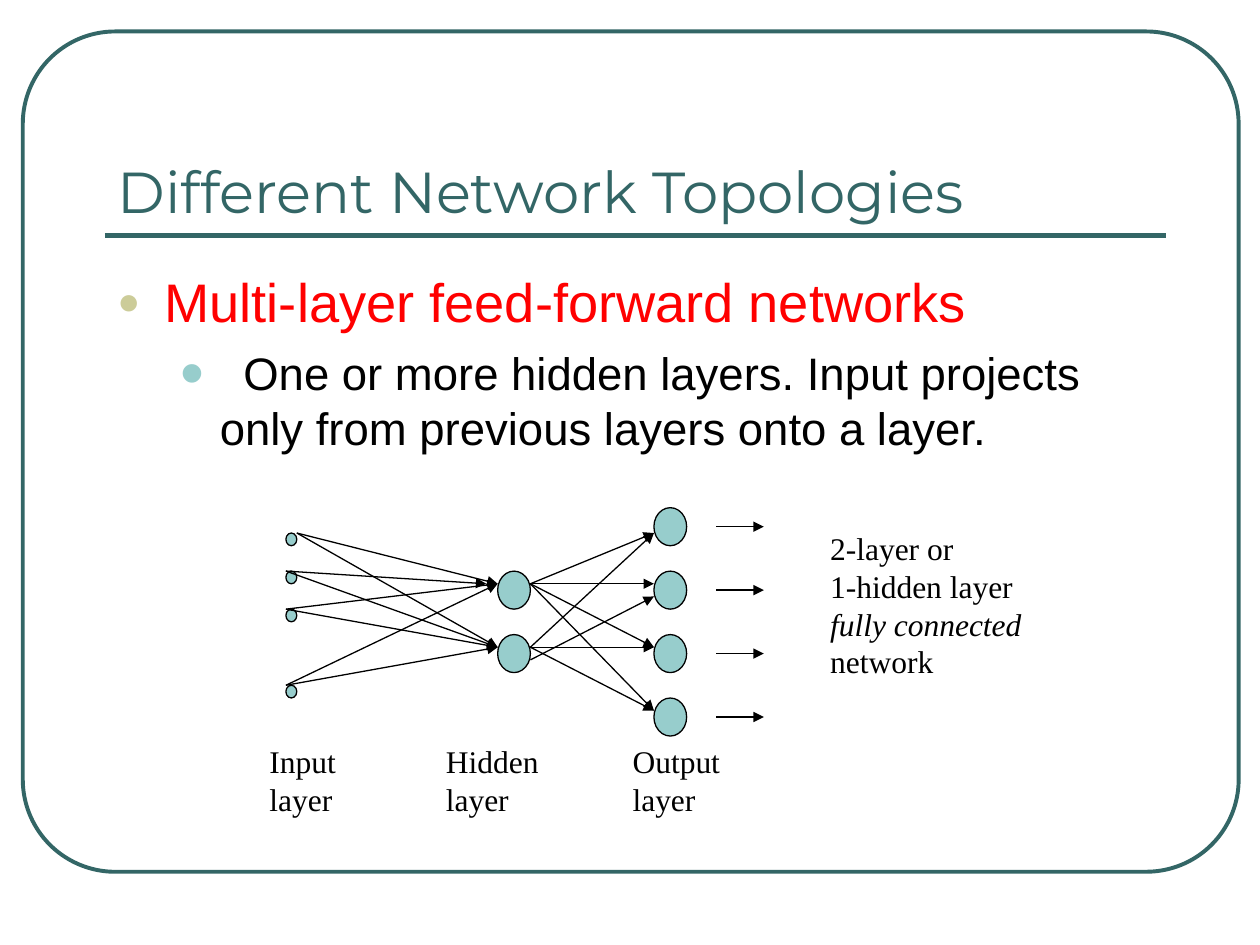
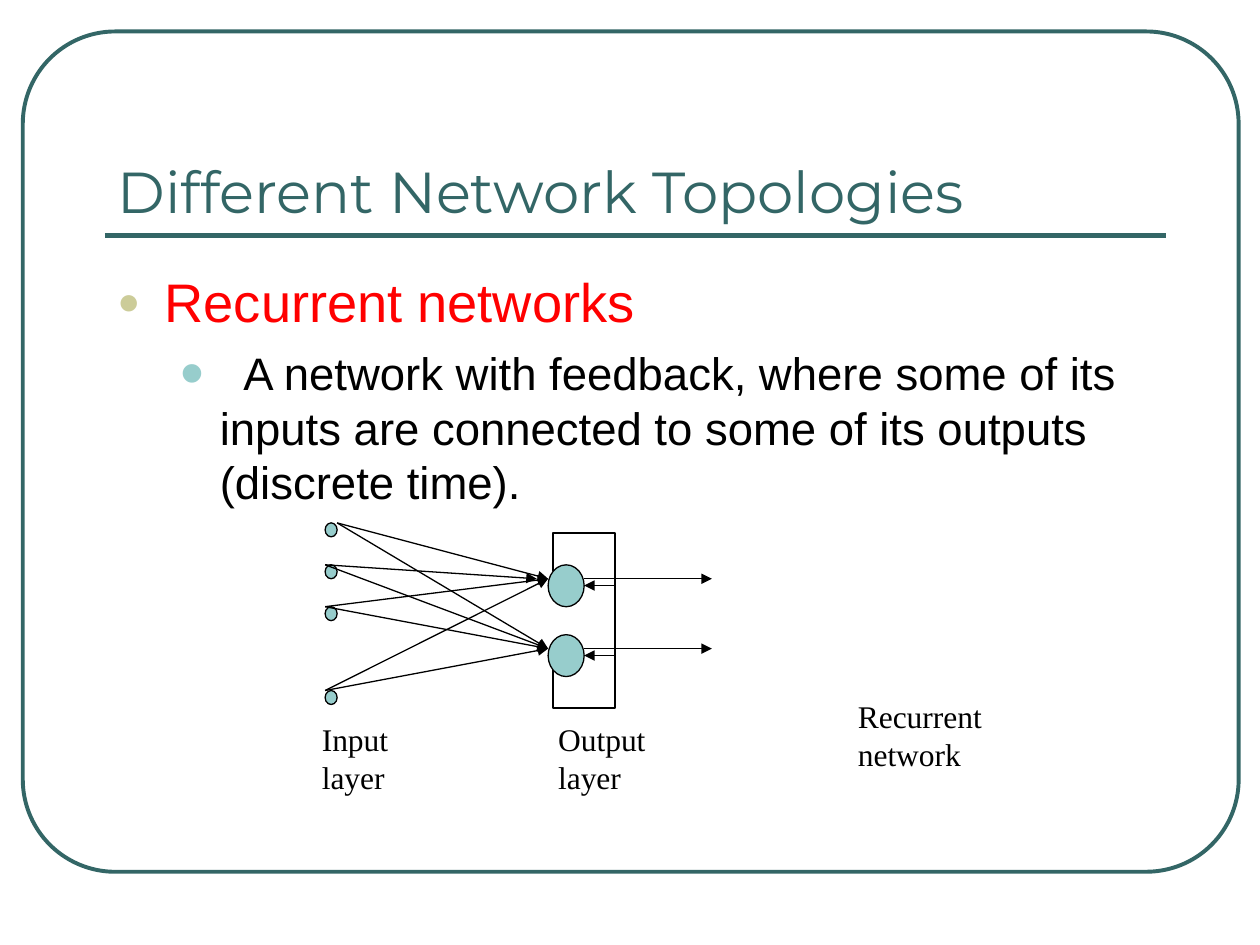
from lxml import etree
from pptx import Presentation
from pptx import util as u
from pptx.dml.color import RGBColor
from pptx.enum import shapes, text
from pptx.oxml.ns import qn

Pt = u.Pt
COLORS = {"teal": "336666", "aqua": "97CDCC", "sand": "CCCC99",
          "red": "FF0000", "black": "000000", "white": "FFFFFF"}
RGB = {name: RGBColor.from_string(value) for name, value in COLORS.items()}
TITLE = {"name": "Montserrat", "size": Pt(33)}
LABEL = {"name": "Times New Roman", "size": Pt(18)}
BODY = [
    {"font": {"name": "Arial", "size": Pt(31)}, "color": "red", "before": 0,
     "margin": 27, "indent": -27, "bullet": "●", "bullet_color": "sand", "bullet_size": 70},
    {"font": {"name": "Arial", "size": Pt(26)}, "color": "black", "before": 6.5,
     "margin": 58.5, "indent": -22.5, "bullet": "•", "bullet_color": "aqua", "bullet_size": 150},
]
SLIDES = [
    {"points": ["Multi-layer feed-forward networks",
                "\tOne or more hidden layers. Input projects only from previous layers onto a layer."],
     "input_x": 163.4, "top": 304.6, "pitch": 21.75, "neuron_x": 284.4,
     "labels": (146.9, 420.5, 300, ["Input\tHidden\tOutput", "layer\tlayer\tlayer"], [100.8, 207.5]),
     "caption": (467.3, 298.8, 140, ["2-layer or", "1-hidden layer", "fully connected", "network"], [])},
    {"points": ["Recurrent networks",
                "\tA network with feedback, where some of its inputs are connected to some of its outputs (discrete time)."],
     "input_x": 185.8, "top": 298.8, "pitch": 23.95, "neuron_x": 313.2,
     "labels": (176.8, 408.2, 240, ["Input\tOutput", "layer\tlayer"], [135]),
     "caption": (483.1, 394.6, 110, ["Recurrent", "network"], [])},
]


def outline(sp, color="black", width=0.75, arrow=False):
    sp.line.color.rgb = RGB[color]
    sp.line.width = Pt(width)
    spPr = sp.element.spPr
    if arrow:
        etree.SubElement(spPr.find(qn("a:ln")), qn("a:tailEnd"), type="triangle")
    if spPr.find(qn("a:effectLst")) is None:
        etree.SubElement(spPr, qn("a:effectLst"))


def write(p, words, font, color, tabs=()):
    pPr = p._p.get_or_add_pPr()
    if tabs:
        tabLst = etree.SubElement(pPr, qn("a:tabLst"))
        for pos in tabs:
            etree.SubElement(tabLst, qn("a:tab"), pos=str(Pt(pos)), algn="l")
    r = p.add_run()
    r.text = words
    for key, value in font.items():
        setattr(r.font, key, value)
    r.font.color.rgb = RGB[color]
    return r


prs = Presentation()
prs.slide_width, prs.slide_height = Pt(720), Pt(540)

for number, data in enumerate(SLIDES):
    s = prs.slides.add_slide(prs.slide_layouts[5])
    frame = s.shapes.add_shape(shapes.MSO_SHAPE.ROUNDED_RECTANGLE, Pt(13), Pt(18), Pt(694.8), Pt(480.2))
    frame.adjustments[0] = 0.11
    frame.fill.background()
    outline(frame, "teal", 2.25)
    rule = s.shapes.add_connector(shapes.MSO_CONNECTOR.STRAIGHT, Pt(60), Pt(134.6), Pt(666), Pt(134.6))
    outline(rule, "teal", 3)

    title = s.shapes.title
    title.left, title.top, title.width, title.height = Pt(60), Pt(42), Pt(606), Pt(90)
    tf = title.text_frame
    tf.vertical_anchor = text.MSO_ANCHOR.BOTTOM
    tf.auto_size = text.MSO_AUTO_SIZE.NONE
    p = tf.paragraphs[0]
    p.alignment = text.PP_ALIGN.LEFT
    write(p, "Different Network Topologies", TITLE, "teal")

    body = s.shapes.add_textbox(Pt(60), Pt(150), Pt(606), Pt(318))
    body.fill.solid()
    body.fill.fore_color.rgb = RGB["white"]
    tf = body.text_frame
    tf.word_wrap = True
    for level, (words, style) in enumerate(zip(data["points"], BODY)):
        p = tf.add_paragraph() if level else tf.paragraphs[0]
        p.level = level
        p.space_before = Pt(style["before"])
        pPr = p._p.get_or_add_pPr()
        pPr.set("marL", str(Pt(style["margin"])))
        pPr.set("indent", str(Pt(style["indent"])))
        buClr = etree.SubElement(pPr, qn("a:buClr"))
        etree.SubElement(buClr, qn("a:srgbClr"), val=COLORS[style["bullet_color"]])
        etree.SubElement(pPr, qn("a:buSzPct"), val=str(style["bullet_size"] * 1000))
        etree.SubElement(pPr, qn("a:buFont"), typeface="Arial")
        etree.SubElement(pPr, qn("a:buChar"), char=style["bullet"])
        write(p, words, style["font"], style["color"], [72 * i for i in range(1, 9)])

    for left, top, width, lines, tabs in (data["labels"], data["caption"]):
        box = s.shapes.add_textbox(Pt(left), Pt(top), Pt(width), Pt(7.2 + 21.6 * len(lines)))
        tf = box.text_frame
        tf.word_wrap = True
        for i, words in enumerate(lines):
            p = tf.add_paragraph() if i else tf.paragraphs[0]
            r = write(p, words, LABEL, "black", tabs)
            if words == "fully connected":
                r.font.italic = True

    pitch, input_x, neuron_x = data["pitch"], data["input_x"], data["neuron_x"]
    w, h = 0.86 * pitch, pitch
    inputs = [data["top"] + pitch * k for k in (0, 1, 2, 4)]
    neurons = [data["top"] + pitch * k for k in (1, 8 / 3)]
    ports = [y + h / 3 for y in neurons]
    exit_x = neuron_x + w
    nodes = [(input_x, y, w / 3, h / 3) for y in inputs] + [(neuron_x, y, w, h) for y in neurons]

    arrows = []
    for i, y in enumerate(inputs):
        for j, port in enumerate(ports):
            start_x = input_x + (w / 3 if i == 0 else 0)
            end_x = neuron_x - (6.5 if (i, j) == (1, 0) else 0)
            arrows.append((start_x, y, end_x, port))

    if number == 0:
        output_x = 373.7
        outputs = [data["top"] + pitch * (5 * k - 2) / 3 for k in range(4)]
        nodes += [(output_x, y, w, h) for y in outputs]
        for j, port in enumerate(ports):
            for k, y in enumerate(outputs):
                drop = h / 3 if (j, k) == (1, 1) else 0
                end_y = y + h / 3 + (h / 3 if k == 0 else drop)
                arrows.append((exit_x, port + drop, output_x, end_y))
        arrows += [(409.2, y + h / 2, 436.5, y + h / 2) for y in outputs]
    else:
        arrows += [(exit_x, port, 406.8, port) for port in ports]

    for x, y, width, height in nodes:
        node = s.shapes.add_shape(shapes.MSO_SHAPE.OVAL, Pt(x), Pt(y), Pt(width), Pt(height))
        node.fill.solid()
        node.fill.fore_color.rgb = RGB["aqua"]
        outline(node)
    for ends in arrows:
        arrow = s.shapes.add_connector(shapes.MSO_CONNECTOR.STRAIGHT, *[Pt(v) for v in ends])
        outline(arrow, arrow=True)

    if number == 1:
        for start_y, turn_y, end_y in ((326.2, 304.6, 374.6), (383, 404.6, 334.6)):
            builder = s.shapes.build_freeform(Pt(316), Pt(start_y))
            corners = [(316, turn_y), (351.4, turn_y), (351.4, end_y), (exit_x, end_y)]
            builder.add_line_segments([(Pt(x), Pt(y)) for x, y in corners], close=False)
            feedback = builder.convert_to_shape()
            feedback.fill.background()
            outline(feedback, arrow=True)

prs.save("out.pptx")
